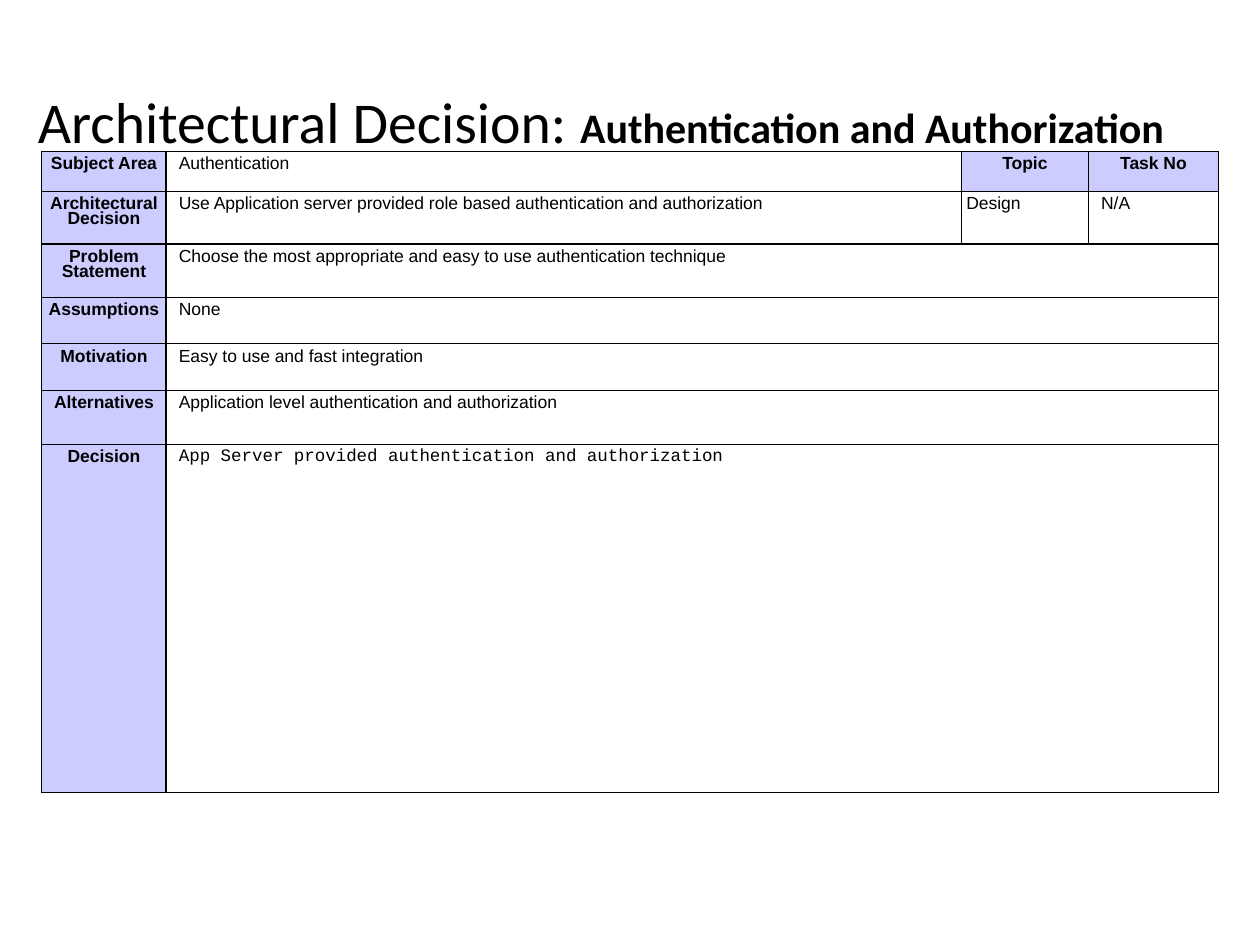
from lxml.etree import SubElement
from pptx import Presentation
from pptx.dml.color import RGBColor
from pptx.enum.text import MSO_ANCHOR, MSO_AUTO_SIZE, PP_ALIGN
from pptx.oxml.ns import qn
from pptx.util import Inches, Pt

COLORS = {"ink": "000000", "label": "CCCCFF"}
THIN, THICK = 0.57, 1.42

TITLE = [("Architectural Decision: ", 33, False),
         ("Authentication and Authorization", 24, True)]

# A row with two entries has its second cell span the remaining columns
ROWS = [
    ("Subject Area", "Authentication", "Topic", "Task No"),
    ("Architectural Decision",
     "Use Application server provided role based authentication and authorization",
     "Design", "N/A"),
    ("Problem Statement",
     "Choose the most appropriate and easy to use authentication technique"),
    ("Assumptions", "None"),
    ("Motivation", "Easy to use and fast integration"),
    ("Alternatives", "Application level authentication and authorization"),
    ("Decision", "App Server provided authentication and authorization"),
]
COLUMN_WIDTHS = [0.99, 6.31, 1.01, 1.03]
ROW_HEIGHTS = [0.32, 0.42, 0.42, 0.37, 0.37, 0.43, 2.76]
LAST_HEADING_ROW = 1  # a thick rule closes the rows above the problem statement


def set_format(target, color=None, **values):
    for name, value in values.items():
        setattr(target, name, value)
    if color:
        target.color.rgb = RGBColor.from_string(COLORS[color])


def set_borders(cell, widths):
    properties = cell._tc.get_or_add_tcPr()
    for side in "LRTB":
        line = SubElement(properties, qn(f"a:ln{side}"), w=str(Pt(widths[side])))
        fill = SubElement(line, qn("a:solidFill"))
        SubElement(fill, qn("a:srgbClr"), val=COLORS["ink"])


def border_widths(row, column):
    return {
        "L": THICK if column == 1 else THIN,
        "R": THICK if column == 0 else THIN,
        "T": THICK if row == LAST_HEADING_ROW + 1 else THIN,
        "B": THICK if row == LAST_HEADING_ROW else THIN,
    }


def fill_cell(cell, text, row, column):
    is_label = column == 0 or (row == 0 and column >= 2)
    is_decision = text == ROWS[-1][1]
    side = Inches(0.04 if is_label or column == 2 else 0.1)
    set_format(cell, text=text, margin_left=side, margin_right=side,
               margin_top=Inches(0.05), margin_bottom=Inches(0.05),
               vertical_anchor=MSO_ANCHOR.TOP)
    if is_label:
        cell.fill.solid()
        cell.fill.fore_color.rgb = RGBColor.from_string(COLORS["label"])
    else:
        cell.fill.background()
    paragraph = cell.text_frame.paragraphs[0]
    set_format(paragraph, alignment=PP_ALIGN.CENTER if is_label else PP_ALIGN.LEFT,
               line_spacing=0.66 if is_decision else 0.76)
    set_format(paragraph.runs[0].font, color="ink", size=Pt(10), bold=is_label,
               name="Courier New" if is_decision else "Arial")


prs = Presentation()
set_format(prs, slide_width=Inches(10), slide_height=Inches(7.5))
slide = prs.slides.add_slide(prs.slide_layouts[5])

# Title
title = slide.shapes.title
set_format(title, left=Inches(0.2), top=Inches(0.65),
           width=Inches(9.48), height=Inches(0.68))
set_format(title.text_frame, word_wrap=True, auto_size=MSO_AUTO_SIZE.NONE,
           vertical_anchor=MSO_ANCHOR.MIDDLE)
heading = title.text_frame.paragraphs[0]
set_format(heading, alignment=PP_ALIGN.LEFT, line_spacing=0.9)
for text, size, bold in TITLE:
    run = heading.add_run()
    run.text = text
    set_format(run.font, color="ink", size=Pt(size), bold=bold, name="Calibri")

# Decision table
decisions = slide.shapes.add_table(
    len(ROWS), len(COLUMN_WIDTHS), Inches(0.33), Inches(1.2),
    Inches(sum(COLUMN_WIDTHS)), Inches(sum(ROW_HEIGHTS))).table
set_format(decisions, first_row=False, horz_banding=False)
for column, width in zip(decisions.columns, COLUMN_WIDTHS):
    column.width = Inches(width)
for r, (texts, height) in enumerate(zip(ROWS, ROW_HEIGHTS)):
    decisions.rows[r].height = Inches(height)
    for c in range(len(COLUMN_WIDTHS)):
        set_borders(decisions.cell(r, c), border_widths(r, c))
    if len(texts) == 2:
        decisions.cell(r, 1).merge(decisions.cell(r, len(COLUMN_WIDTHS) - 1))
    for c, text in enumerate(texts):
        fill_cell(decisions.cell(r, c), text, r, c)

prs.save("out.pptx")
